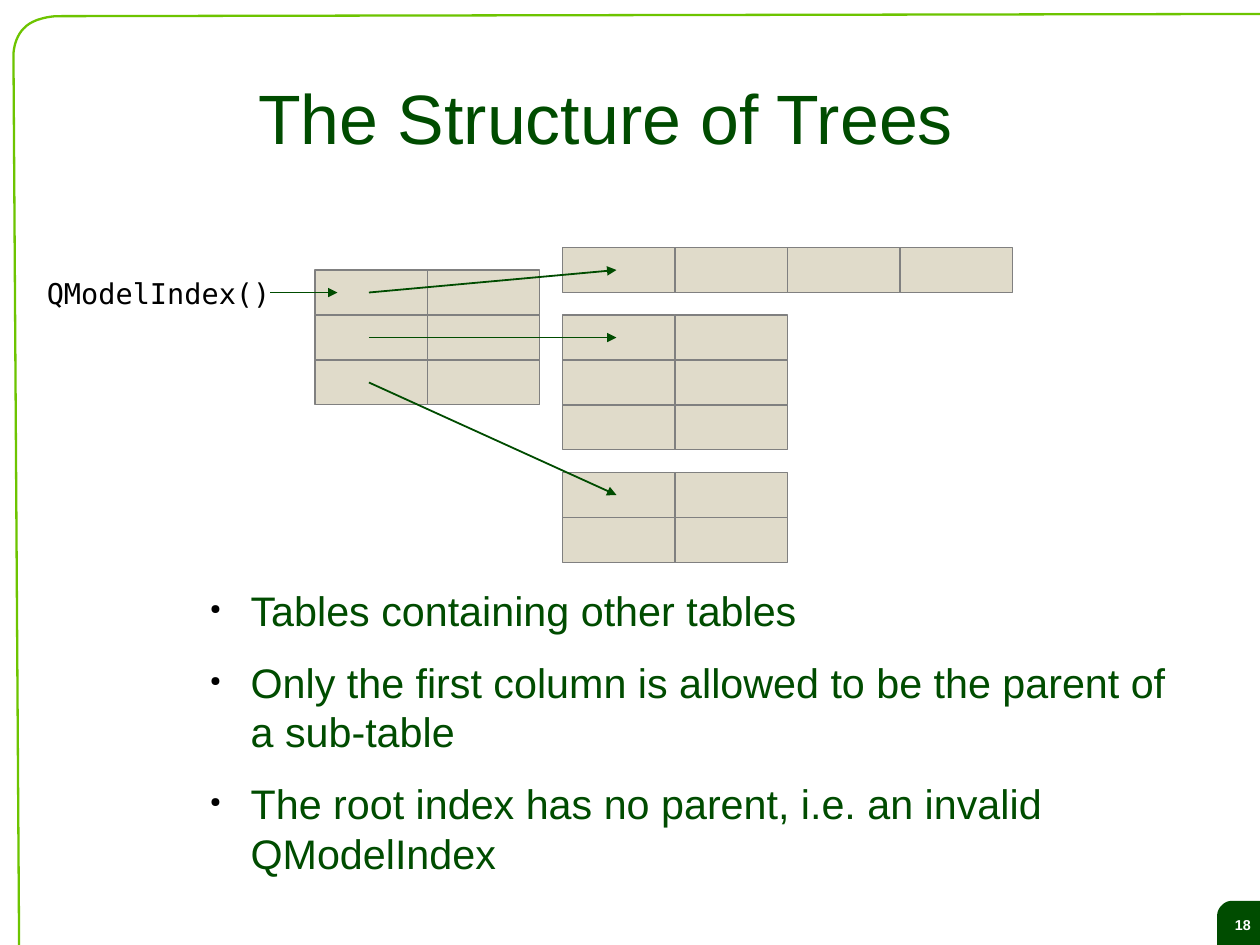
from dataclasses import dataclass

from lxml import etree
from pptx import Presentation
from pptx.dml.color import RGBColor
from pptx.enum.shapes import MSO_CONNECTOR, MSO_SHAPE
from pptx.enum.text import MSO_ANCHOR, PP_ALIGN
from pptx.oxml.ns import qn
from pptx.util import Cm, Pt

RECT, STRAIGHT = MSO_SHAPE.RECTANGLE, MSO_CONNECTOR.STRAIGHT
LEFT, CENTER = PP_ALIGN.LEFT, PP_ALIGN.CENTER
TOP, MIDDLE = MSO_ANCHOR.TOP, MSO_ANCHOR.MIDDLE

TITLE = "The Structure of Trees"
ROOT_LABEL = "QModelIndex()"
PAGE = "18"
BULLETS = [
    "Tables containing other tables",
    "Only the first column is allowed to be the parent of a sub-table",
    "The root index has no parent, i.e. an invalid QModelIndex",
]

# Lengths in cm: left, top, rows, columns
PARENT = (7, 6, 3, 2)
CHILDREN = [(12.5, 5.5, 1, 4), (12.5, 7, 3, 2), (12.5, 10.5, 2, 2)]
CELL_W, CELL_H = 2.5, 1
ANCHOR_X, ANCHOR_Y = 1.2, 0.5  # arrow ends inside a cell
ROOT_ARROW = (6, 6.5, 7.5, 6.5)

# Outlines in cm: a pair is a corner, three pairs are a Bézier curve
FRAME = [
    (1.27, 0.36),
    ((1.24, 0.36), (0.76, 0.38), (0.53, 0.63)),
    ((0.3, 0.86), (0.3, 1.22), (0.3, 1.22)),
    (0.43, 21.72), (28.78, 21.77), (28.63, 0.31),
]
BADGE = [
    (27.05, 21.08), (27.05, 20.35),
    ((27.05, 20.32), (27.05, 20.22), (27.15, 20.12)),
    ((27.25, 20.02), (27.33, 20.02), (27.43, 20.02)),
    (28.19, 20.02), (28.19, 21.08),
]


@dataclass(frozen=True)
class Theme:
    dark: str = "004C00"
    lime: str = "6DC400"
    cell: str = "E0DBCA"
    grid: str = "808080"
    black: str = "000000"
    white: str = "FFFFFF"
    sans: str = "Arial"
    mono: str = "DejaVu Sans Mono"
    title: float = 44
    body: float = 26
    label: float = 18
    page: float = 9


T = Theme()


def rgb(value):
    return RGBColor.from_string(value)


def write(sp, *lines, size, color=T.dark, font=T.sans, bold=False, align=LEFT,
          anchor=TOP, wrap=True, inset=(0, 0), after=0, bullet=False):
    tf = sp.text_frame
    tf.word_wrap, tf.vertical_anchor = wrap, anchor
    tf.margin_left = tf.margin_right = Cm(inset[0])
    tf.margin_top = tf.margin_bottom = Cm(inset[1])
    for i, line in enumerate(lines):
        p = tf.add_paragraph() if i else tf.paragraphs[0]
        p.alignment, p.space_after = align, Pt(after)
        r = p.add_run()
        r.text = line
        r.font.size, r.font.name, r.font.bold = Pt(size), font, bold
        r.font.color.rgb = rgb(color)
        if bullet:
            add_bullet(p)


def add_bullet(p):
    pPr = p._p.get_or_add_pPr()
    pPr.set("marL", str(Cm(1.2)))
    pPr.set("indent", str(Cm(-0.9)))
    clr = etree.SubElement(pPr, qn("a:buClr"))
    etree.SubElement(clr, qn("a:srgbClr"), val=T.black)
    etree.SubElement(pPr, qn("a:buSzPct"), val="33000")
    etree.SubElement(pPr, qn("a:buChar"), char="●")


def paint(sp, fill=None, line=None, width=0):
    sp.shadow.inherit = False
    if fill:
        sp.fill.solid()
        sp.fill.fore_color.rgb = rgb(fill)
    else:
        sp.fill.background()
    if line:
        sp.line.color.rgb = rgb(line)
        sp.line.width = Pt(width)
    else:
        sp.line.fill.background()


def bezier(a, b, c, d, steps=12):
    for i in range(1, steps + 1):
        t = i / steps
        u = 1 - t
        yield tuple(u**3 * a[k] + 3 * u * u * t * b[k] + 3 * u * t * t * c[k]
                    + t**3 * d[k] for k in (0, 1))


def add_outline(s, outline, **style):
    points = [outline[0]]
    for step in outline[1:]:
        points += bezier(points[-1], *step) if len(step) == 3 else [step]
    emu = [(Cm(x), Cm(y)) for x, y in points]
    builder = s.shapes.build_freeform(*emu[0])
    builder.add_line_segments(emu[1:], close=True)
    sp = builder.convert_to_shape()
    paint(sp, **style)
    return sp


def add_grid(s, left, top, rows, cols):
    for row in range(rows):
        for col in range(cols):
            sp = s.shapes.add_shape(
                RECT, Cm(left + col * CELL_W), Cm(top + row * CELL_H),
                Cm(CELL_W), Cm(CELL_H))
            paint(sp, T.cell, T.grid)


def add_arrow(s, *ends):
    arrow = s.shapes.add_connector(STRAIGHT, *map(Cm, ends))
    arrow.line.color.rgb = rgb(T.dark)
    arrow.line.width = Pt(1.13)
    spPr = arrow._element.spPr
    etree.SubElement(spPr.find(qn("a:ln")), qn("a:tailEnd"), type="triangle")
    etree.SubElement(spPr, qn("a:effectLst"))


def add_box(s, *place):
    return s.shapes.add_textbox(*map(Cm, place))


def main():
    prs = Presentation()
    prs.slide_width, prs.slide_height = Cm(28), Cm(21)
    s = prs.slides.add_slide(prs.slide_layouts[6])

    badge = add_outline(s, BADGE, fill=T.dark)
    write(badge, PAGE, size=T.page, color=T.white, bold=True, align=CENTER,
          anchor=MIDDLE)
    add_outline(s, FRAME, line=T.lime, width=1.45)

    write(add_box(s, 4.37, 0.96, 18.2, 3.26), TITLE, size=T.title,
          align=CENTER, anchor=MIDDLE)
    write(add_box(s, 4.37, 13, 22.33, 6.3), *BULLETS, size=T.body,
          after=14.2, bullet=True)

    for grid in (PARENT, *CHILDREN):
        add_grid(s, *grid)
    left, top = PARENT[:2]
    for row, (x, y, _, _) in enumerate(CHILDREN):
        add_arrow(s, left + ANCHOR_X, top + row * CELL_H + ANCHOR_Y,
                  x + ANCHOR_X, y + ANCHOR_Y)
    add_arrow(s, *ROOT_ARROW)
    write(add_box(s, 1.04, 6, 5.46, 1), ROOT_LABEL, size=T.label,
          color=T.black, font=T.mono, inset=(0, 0.13))

    prs.save("out.pptx")


if __name__ == "__main__":
    main()
